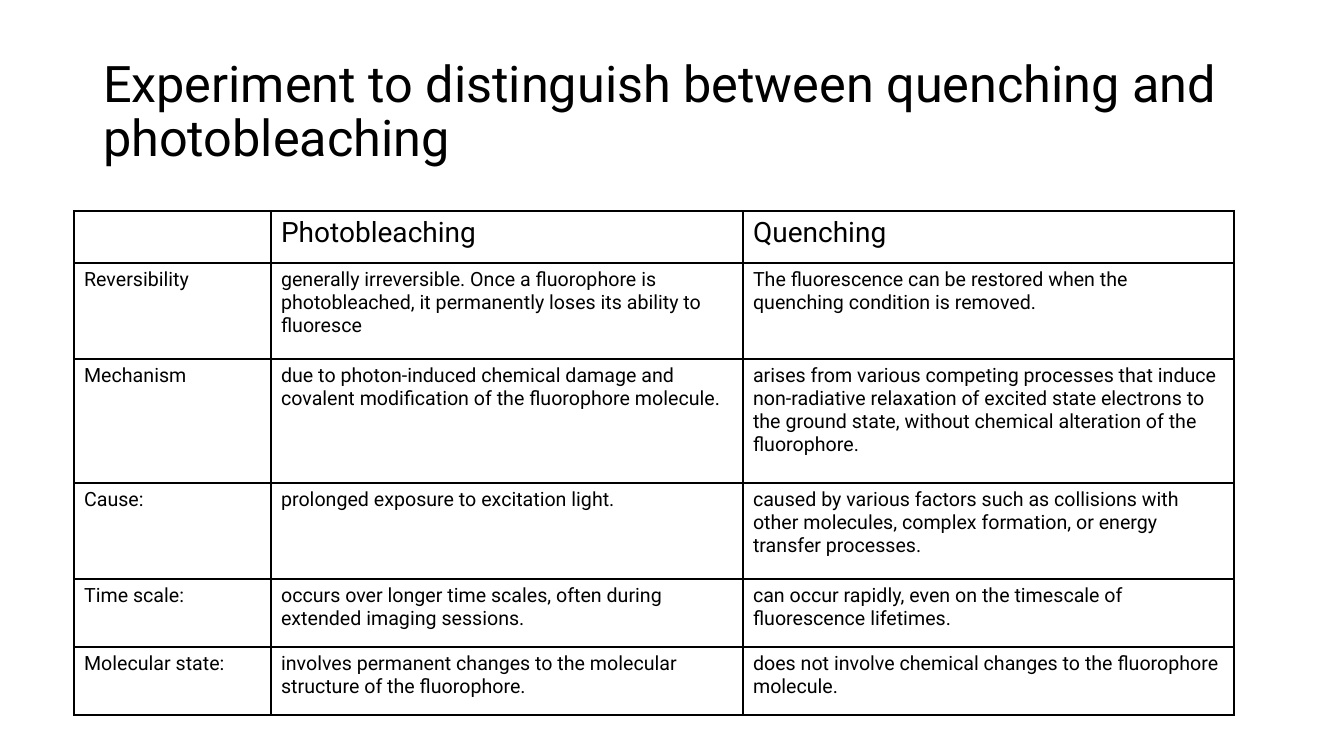
from lxml.etree import SubElement
from pptx import Presentation
from pptx.dml.color import RGBColor
from pptx.enum.text import MSO_ANCHOR, MSO_AUTO_SIZE, PP_ALIGN
from pptx.oxml.ns import qn
from pptx.util import Pt

PX = 914400 / 100.8
FONT = "Roboto"
BLACK = "000000"
TITLE = "Experiment to distinguish between quenching and photobleaching"
COL_WIDTHS = [197, 472, 491]
ROW_HEIGHTS = [52, 96, 124, 96, 68, 68]
COMPARISON = [
    ["", "Photobleaching", "Quenching"],
    ["Reversibility",
     "generally irreversible. Once a fluorophore is photobleached, it permanently "
     "loses its ability to fluoresce",
     "The fluorescence can be restored when the quenching condition is removed."],
    ["Mechanism",
     "due to photon-induced chemical damage and covalent modification of the "
     "fluorophore molecule.",
     "arises from various competing processes that induce non-radiative relaxation of "
     "excited state electrons to the ground state, without chemical alteration of the "
     "fluorophore."],
    ["Cause:",
     "prolonged exposure to excitation light.",
     "caused by various factors such as collisions with other molecules, complex "
     "formation, or energy transfer processes."],
    ["Time scale:",
     "occurs over longer time scales, often during extended imaging sessions.",
     "can occur rapidly, even on the timescale of fluorescence lifetimes."],
    ["Molecular state:",
     "involves permanent changes to the molecular structure of the fluorophore.",
     "does not involve chemical changes to the fluorophore molecule."],
]


def px(n):
    """Turn pixels into EMU."""
    return round(n * PX)


def rgb(color):
    """Turn a hex string into a colour."""
    return RGBColor.from_string(color)


def set_attrs(obj, values):
    """Set each attribute of an object from a dict."""
    for name, value in values.items():
        setattr(obj, name, value)


def write(tf, text, size, **layout):
    """Write one formatted paragraph into a text frame."""
    p = tf.paragraphs[0]
    set_attrs(p, {"alignment": PP_ALIGN.LEFT, **layout})
    r = p.add_run()
    r.text = text
    set_attrs(r.font, {"name": FONT, "size": Pt(size), "bold": False})
    r.font.color.rgb = rgb(BLACK)


def add_title(s, text, left, top, width, height):
    """Place and fill the title placeholder."""
    sp = s.shapes.title
    set_attrs(sp, {"left": px(left), "top": px(top),
                   "width": px(width), "height": px(height)})
    set_attrs(sp.text_frame, {"word_wrap": True, "auto_size": MSO_AUTO_SIZE.NONE,
                              "vertical_anchor": MSO_ANCHOR.MIDDLE})
    write(sp.text_frame, text, 36, line_spacing=0.9)


def add_borders(cell, color, width):
    """Draw a solid line on all four sides of a cell."""
    tcPr = cell._tc.get_or_add_tcPr()
    for side in ("lnL", "lnR", "lnT", "lnB"):
        ln = SubElement(tcPr, qn(f"a:{side}"), w=str(Pt(width)))
        fill = SubElement(ln, qn("a:solidFill"))
        SubElement(fill, qn("a:srgbClr"), val=color)


def add_comparison(s, rows, left, top):
    """Add the bordered comparison table."""
    frame = s.shapes.add_table(len(rows), len(COL_WIDTHS), px(left), px(top),
                               px(sum(COL_WIDTHS)), px(sum(ROW_HEIGHTS)))
    table = frame.table
    set_attrs(table, {"first_row": False, "horz_banding": False})
    for col, width in zip(table.columns, COL_WIDTHS):
        col.width = px(width)
    for i, (row, height) in enumerate(zip(table.rows, ROW_HEIGHTS)):
        row.height = px(height)
        for cell, text in zip(row.cells, rows[i]):
            add_borders(cell, BLACK, 1)
            cell.fill.background()
            if text:
                write(cell.text_frame, text, 14 if i else 20)


def main():
    """Build and save the slide."""
    prs = Presentation()
    set_attrs(prs, {"slide_width": px(1344), "slide_height": px(756)})
    s = prs.slides.add_slide(prs.slide_layouts[5])
    add_title(s, TITLE, 93, 40, 1159, 146)
    add_comparison(s, COMPARISON, 74, 211)
    prs.save("out.pptx")


if __name__ == "__main__":
    main()
